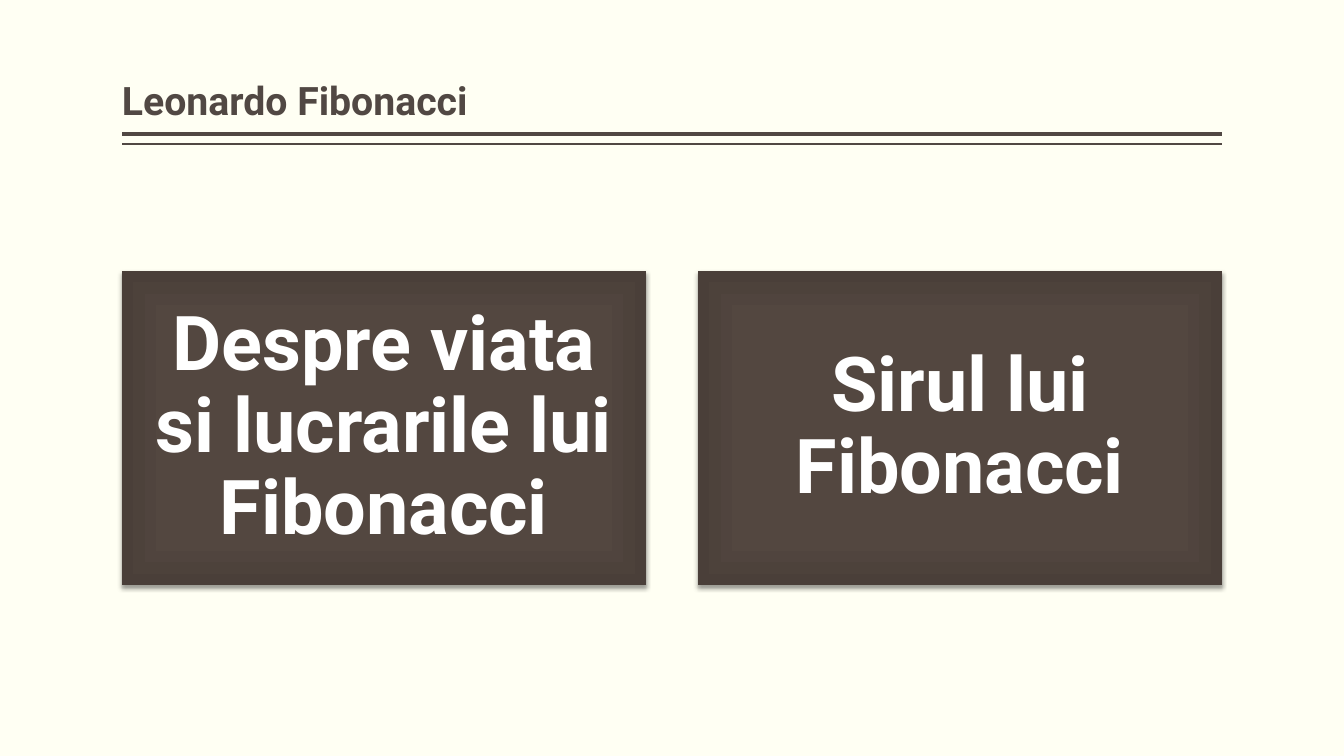
from dataclasses import dataclass

from pptx import Presentation
from pptx.dml.color import RGBColor as Rgb
from pptx.enum.shapes import MSO_CONNECTOR as Conn, MSO_SHAPE as Kind
from pptx.enum.text import MSO_ANCHOR as Anchor, PP_ALIGN as Align
from pptx.oxml import parse_xml
from pptx.oxml.ns import nsdecls, qn
from pptx.util import Pt

SCALE = 914400 / 100.8


@dataclass(frozen=True)
class Theme:
    """Colours, font and type sizes of the slide."""
    paper: str = "FFFFF3"
    ink: str = "514843"
    light: str = "FFFFFF"
    shade: str = "000000"
    stops: tuple = ((0, "544740"), (71, "534740"), (100, "4A3F39"))
    font: str = "Roboto"
    head: int = 28
    label: int = 54


THEME = Theme()
LEFT, RIGHT = 122, 1222
GAP = 52
TOP, HIGH = 271, 314
LABELS = ("Despre viata si lucrarile lui Fibonacci", "Sirul lui Fibonacci")


def px(*sizes):
    """Turn pixels into a list of EMU lengths."""
    return [round(size * SCALE) for size in sizes]


def write(shape, text, size, color, pad, anchor, align):
    """Fill a shape with one bold paragraph; pad is (sides, ends)."""
    frame = shape.text_frame
    side, end = px(*pad)
    look = {"word_wrap": True, "vertical_anchor": anchor,
            "margin_left": side, "margin_right": side,
            "margin_top": end, "margin_bottom": end}
    for name, value in look.items():
        setattr(frame, name, value)
    para = frame.paragraphs[0]
    para.alignment, para.line_spacing = align, 0.9
    run = para.add_run()
    run.text = text
    style = {"name": THEME.font, "size": Pt(size), "bold": True}
    for name, value in style.items():
        setattr(run.font, name, value)
    run.font.color.rgb = Rgb.from_string(color)


def add_rule(slide, y, width):
    """Draw a level line across the content width."""
    rule = slide.shapes.add_connector(Conn.STRAIGHT, *px(RIGHT, y, LEFT, y))
    rule.line.color.rgb = Rgb.from_string(THEME.ink)
    rule.line.width = Pt(width)
    rule._element.spPr.append(parse_xml(f"<a:effectLst {nsdecls('a')}/>"))


def add_title(slide, text):
    """Place the heading so that it sits on the rules."""
    box = slide.shapes.add_textbox(*px(LEFT, 8, RIGHT - LEFT, 121))
    write(box, text, THEME.head, THEME.ink, (0, 5), Anchor.BOTTOM, Align.LEFT)


def add_card(slide, x, wide, text):
    """Draw a card with a centred gradient, a soft shadow and its label."""
    card = slide.shapes.add_shape(Kind.RECTANGLE, *px(x, TOP, wide, HIGH))
    props = card._element.spPr
    stops = "".join(f'<a:gs pos="{pos * 1000}"><a:srgbClr val="{color}"/></a:gs>'
                    for pos, color in THEME.stops)
    props.append(parse_xml(
        f'<a:gradFill {nsdecls("a")} rotWithShape="1"><a:gsLst>{stops}</a:gsLst>'
        '<a:path path="rect"><a:fillToRect l="50000" t="50000" r="50000" '
        'b="50000"/></a:path></a:gradFill>'))
    card.line.fill.background()
    card.shadow.inherit = False
    props.find(qn("a:effectLst")).append(parse_xml(
        f'<a:outerShdw {nsdecls("a")} blurRad="{Pt(3.1)}" dist="{Pt(2)}" '
        f'dir="5400000" rotWithShape="0"><a:srgbClr val="{THEME.shade}">'
        '<a:alpha val="38000"/></a:srgbClr></a:outerShdw>'))
    write(card, text, THEME.label, THEME.light, (23, 23), Anchor.MIDDLE,
          Align.CENTER)


def main():
    """Build the slide and save it."""
    deck = Presentation()
    deck.slide_width, deck.slide_height = px(1344, 756)
    slide = deck.slides.add_slide(deck.slide_layouts[6])
    paper = slide.background.fill
    paper.solid()
    paper.fore_color.rgb = Rgb.from_string(THEME.paper)
    for y, width in ((134, 3), (144, 1)):
        add_rule(slide, y, width)
    add_title(slide, "Leonardo Fibonacci")
    wide = (RIGHT - LEFT - GAP) // len(LABELS)
    for col, text in enumerate(LABELS):
        add_card(slide, LEFT + col * (wide + GAP), wide, text)
    deck.save("out.pptx")


main()
